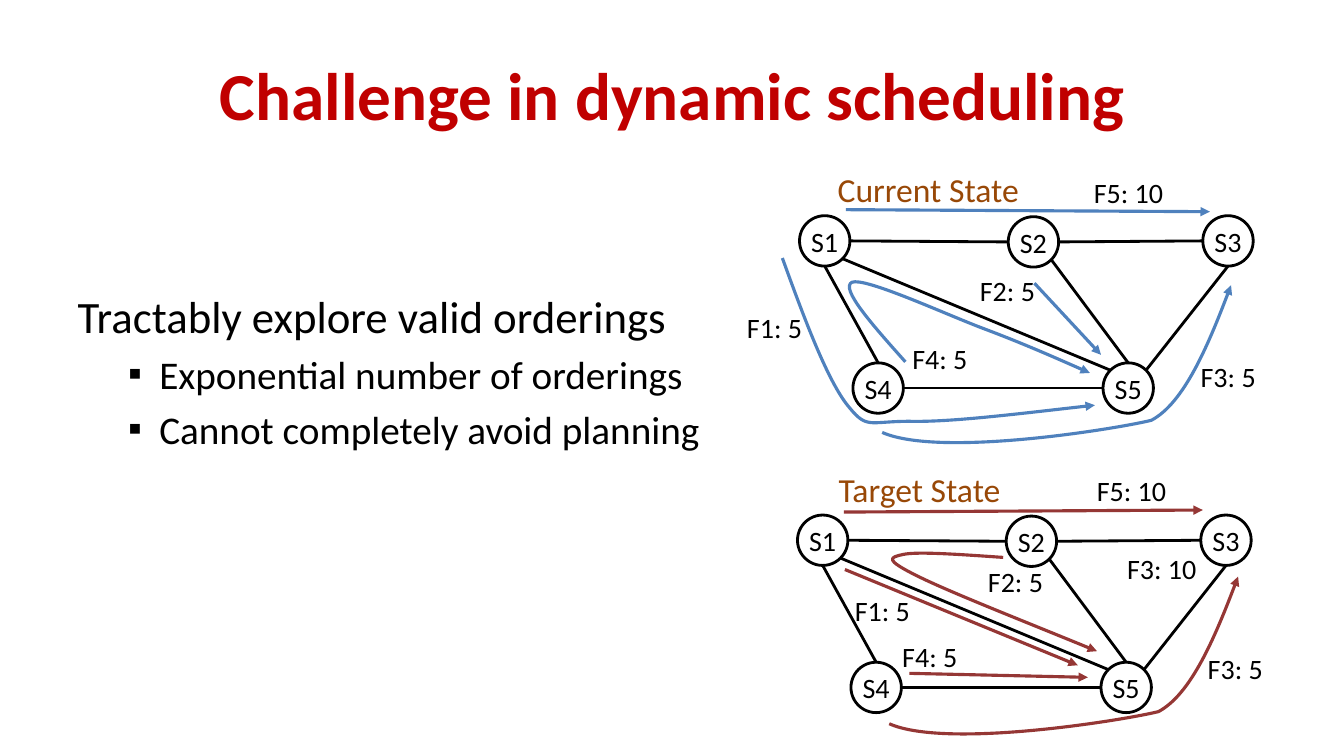
from math import cos, radians, sin

from lxml import etree
from pptx import Presentation
from pptx.dml.color import RGBColor
from pptx.enum.shapes import MSO_CONNECTOR, MSO_SHAPE
from pptx.enum.text import MSO_ANCHOR, PP_ALIGN
from pptx.oxml.ns import qn
from pptx.util import Inches, Pt

STRAIGHT, OVAL = MSO_CONNECTOR.STRAIGHT, MSO_SHAPE.OVAL
CENTER, MIDDLE = PP_ALIGN.CENTER, MSO_ANCHOR.MIDDLE
FONT = "Calibri"
BLACK, RED, BROWN = "000000", "C00000", "984807"
NODE_SIZE = 0.5

SWITCHES = {"S1": (0.63, 0.54), "S2": (2.7, 0.55), "S3": (4.63, 0.54),
            "S4": (1.16, 2.0), "S5": (3.64, 2.0)}
LINKS = [("S1", 45, "S5", 225), ("S5", 315, "S3", 90), ("S2", 0, "S3", 180),
         ("S1", 0, "S2", 180), ("S2", 45, "S5", 270), ("S1", 90, "S4", 270),
         ("S4", 0, "S5", 180)]

CURRENT = {
    "title": ("Current State", 0.91, 0.03),
    "color": "4F81BD",
    "labels": [("F1: 5", 0.01, 1.43), ("F2: 5", 2.32, 1.06), ("F3: 5", 4.51, 1.92),
               ("F4: 5", 1.65, 1.74), ("F5: 10", 3.45, 0.09)],
    "straight": [[(2.96, 1.21), (3.62, 1.92)], [(1.09, 0.48), (4.7, 0.5)]],
    "curved": [
        [(1.68, 1.99), (1.35, 1.62), (1.03, 1.26), (1.15, 1.2), (1.28, 1.15),
         (2.04, 1.5), (2.43, 1.65), (2.83, 1.8), (3.17, 1.95), (3.51, 2.1)],
        [(0.46, 0.96), (0.67, 1.54), (0.89, 2.13), (1.09, 2.4), (1.3, 2.67),
         (1.3, 2.58), (1.72, 2.58), (2.13, 2.59), (2.84, 2.5), (3.56, 2.42)],
        [(1.45, 2.69), (2.01, 2.94), (3.75, 2.66), (4.12, 2.57),
         (4.44, 2.4), (4.7, 1.79), (4.91, 1.23)],
    ],
}
TARGET = {
    "title": ("Target State", 0.94, 0.03),
    "color": "953735",
    "labels": [("F1: 5", 1.1, 1.27), ("F2: 5", 2.42, 0.98), ("F3: 10", 3.8, 0.85),
               ("F3: 5", 4.6, 1.84), ("F4: 5", 1.57, 1.73), ("F5: 10", 3.5, 0.08)],
    "straight": [[(1.74, 2.11), (3.51, 2.15)], [(1.1, 1.08), (3.41, 2.03)],
                 [(1.09, 0.51), (4.65, 0.49)]],
    "curved": [
        [(1.54, 2.61), (2.1, 2.86), (3.84, 2.58), (4.21, 2.49),
         (4.53, 2.32), (4.79, 1.71), (5.0, 1.15)],
        [(2.67, 0.96), (2.24, 0.93), (1.82, 0.9), (1.68, 0.93), (1.54, 0.96),
         (1.49, 0.98), (1.81, 1.14), (2.13, 1.3), (2.87, 1.59), (3.6, 1.89)],
    ],
}


def rgb(color):
    """Turn a hex string into a colour."""
    return RGBColor.from_string(color)


def add_run(p, text, size, color=BLACK, bold=False):
    """Add one formatted run to a paragraph."""
    r = p.add_run()
    r.text = text
    r.font.name, r.font.size, r.font.bold = FONT, Pt(size), bold
    r.font.color.rgb = rgb(color)


def place(sp, left, top, width, height):
    """Move and size a shape, in inches."""
    sp.left, sp.top = Inches(left), Inches(top)
    sp.width, sp.height = Inches(width), Inches(height)


def style_line(sp, color, width, arrow=False):
    """Set a line's colour and width and, if asked, its arrowhead."""
    sp.line.color.rgb = rgb(color)
    sp.line.width = Pt(width)
    if arrow:
        ln = sp.element.spPr.find(qn("a:ln"))
        etree.SubElement(ln, qn("a:tailEnd"), type="triangle")


def add_line(shapes, start, end, color, width, arrow=False):
    """Draw a straight line or arrow between two points."""
    s = shapes.add_connector(STRAIGHT, *(Inches(v) for v in (*start, *end)))
    style_line(s, color, width, arrow)
    etree.SubElement(s.element.spPr, qn("a:effectLst"))


def add_curve(shapes, points, color):
    """Draw an arrow along cubic curves given by their control points."""
    start, *rest = [(Inches(x), Inches(y)) for x, y in points]
    fb = shapes.build_freeform(*start)
    fb.add_line_segments(rest, close=False)
    s = fb.convert_to_shape()
    s.shadow.inherit = False
    s.fill.background()
    style_line(s, color, 2.25, arrow=True)
    lines = list(s.element.iter(qn("a:lnTo")))
    for i in range(0, len(lines), 3):
        curve = etree.Element(qn("a:cubicBezTo"))
        lines[i].addprevious(curve)
        for line in lines[i:i + 3]:
            curve.append(line[0])
            line.getparent().remove(line)


def add_label(shapes, text, left, top, size=20, color=BLACK, width=1.0):
    """Add a one-line text box."""
    s = shapes.add_textbox(Inches(left), Inches(top), Inches(width), Inches(0.44))
    s.text_frame.word_wrap = True
    add_run(s.text_frame.paragraphs[0], text, size, color)


def add_switch(shapes, name, left, top):
    """Add a named circle."""
    s = shapes.add_shape(OVAL, *(Inches(v) for v in (left, top, NODE_SIZE, NODE_SIZE)))
    s.shadow.inherit = False
    s.fill.background()
    style_line(s, BLACK, 2)
    tf = s.text_frame
    tf.word_wrap = False
    tf.vertical_anchor = MIDDLE
    tf.margin_left = tf.margin_right = tf.margin_top = tf.margin_bottom = 0
    p = tf.paragraphs[0]
    p.alignment = CENTER
    add_run(p, name, 20)


def rim_point(name, angle, left, top):
    """Find the point on a switch's circle at a clockwise angle in degrees."""
    x, y = SWITCHES[name]
    r = NODE_SIZE / 2
    return (left + x + r + r * cos(radians(angle)),
            top + y + r + r * sin(radians(angle)))


def add_network(slide, state, left, top):
    """Draw one network state as a group with its corner at left, top."""
    shapes = slide.shapes.add_group_shape().shapes
    for begin, begin_angle, end, end_angle in LINKS:
        add_line(shapes, rim_point(begin, begin_angle, left, top),
                 rim_point(end, end_angle, left, top), BLACK, 2)
    for name, (x, y) in SWITCHES.items():
        add_switch(shapes, name, left + x, top + y)
    for route in state["straight"]:
        start, end = [(left + x, top + y) for x, y in route]
        add_line(shapes, start, end, state["color"], 2.25, arrow=True)
    for route in state["curved"]:
        add_curve(shapes, [(left + x, top + y) for x, y in route], state["color"])
    for text, x, y in state["labels"]:
        add_label(shapes, text, left + x, top + y)
    text, x, y = state["title"]
    add_label(shapes, text, left + x, top + y, 24, BROWN, 2.1)


def add_title(slide, left, top, width, height):
    """Fill the title placeholder."""
    s = slide.shapes.title
    place(s, left, top, width, height)
    s.text_frame.vertical_anchor = MIDDLE
    p = s.text_frame.paragraphs[0]
    p.alignment = CENTER
    add_run(p, "Challenge in dynamic scheduling", 48, RED, True)


def add_body(slide, left, top, width, height):
    """Fill the body placeholder with a lead line and its bullets."""
    s = slide.placeholders[1]
    place(s, left, top, width, height)
    tf = s.text_frame
    p = tf.paragraphs[0]
    add_run(p, "Tractably explore valid orderings", 32)
    pPr = p._p.get_or_add_pPr()
    pPr.set("marL", "0")
    pPr.set("indent", "0")
    etree.SubElement(pPr, qn("a:buNone"))
    for text in ("Exponential number of orderings", "Cannot completely avoid planning"):
        p = tf.add_paragraph()
        p.level = 1
        add_run(p, text, 28)
        pPr = p._p.get_or_add_pPr()
        pPr.set("marL", str(Inches(0.81)))
        pPr.set("indent", str(Inches(-0.31)))
        etree.SubElement(pPr, qn("a:buFont"), typeface="Arial")
        etree.SubElement(pPr, qn("a:buChar"), char="▪")


def main():
    """Build the slide and save it."""
    prs = Presentation()
    prs.slide_width, prs.slide_height = Inches(13.33), Inches(7.5)
    slide = prs.slides.add_slide(prs.slide_layouts[1])
    add_title(slide, 0.67, 0.3, 12, 1.25)
    add_body(slide, 0.67, 2.81, 12, 3.89)
    add_network(slide, CURRENT, 7.3, 1.6)
    add_network(slide, TARGET, 7.28, 4.57)
    prs.save("out.pptx")


if __name__ == "__main__":
    main()
